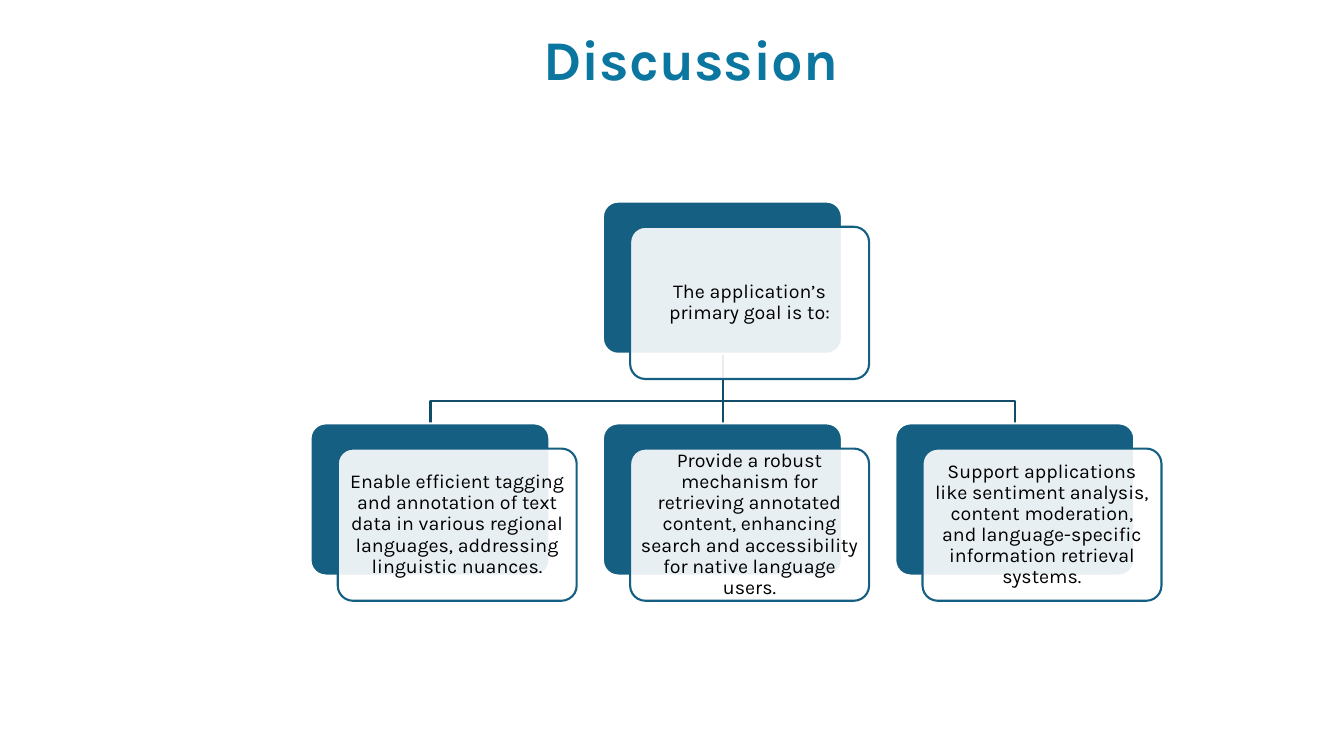
from lxml.etree import SubElement
from pptx import Presentation
from pptx.dml.color import RGBColor
from pptx.enum.shapes import MSO_CONNECTOR as CONNECTOR, MSO_SHAPE as SHAPE
from pptx.enum.text import MSO_ANCHOR as ANCHOR, MSO_AUTO_SIZE as AUTO_SIZE, PP_ALIGN as ALIGN
from pptx.oxml.ns import qn
from pptx.util import Inches, Pt

FONT = "Karla"
TEAL, DARK_TEAL, TITLE_BLUE = "156082", "114D68", "0B76A0"
WHITE, BLACK = "FFFFFF", "000000"
CARD_WIDTH, CARD_HEIGHT = 2.37, 1.51
FRONT_OFFSET_X, FRONT_OFFSET_Y = 0.27, 0.25
GOAL_LEFT, GOAL_TOP = 5.98, 2.0
AIM_TOP, AIM_STEP = 4.2, 2.9
CENTER_X, BRANCH_Y = 7.17, 3.98

GOAL = "The application’s primary goal is to:"
AIMS = [
    "Enable efficient tagging and annotation of text data in various regional "
    "languages, addressing linguistic nuances.",
    "Provide a robust mechanism for retrieving annotated content, enhancing "
    "search and accessibility for native language users.",
    "Support applications like sentiment analysis, content moderation, and "
    "language-specific information retrieval systems.",
]


def rgb(value):
    """Turn a hex string into a colour."""
    return RGBColor.from_string(value)


def style_line(line, color):
    """Give a line its colour and the common width."""
    line.color.rgb = rgb(color)
    line.width = Pt(1.5)


def style_paragraph(paragraph, size, color, bold=False):
    """Centre a paragraph and set its font."""
    paragraph.alignment = ALIGN.CENTER
    font = paragraph.font
    font.name, font.size, font.bold = FONT, Pt(size), bold
    font.color.rgb = rgb(color)


def add_title(slide, text):
    """Place the slide heading in the title placeholder."""
    title = slide.shapes.title
    title.left, title.top = Inches(2.55), Inches(0.19)
    title.width, title.height = Inches(8.6), Inches(0.77)
    frame = title.text_frame
    frame.text = text
    frame.auto_size = AUTO_SIZE.NONE
    frame.vertical_anchor = ANCHOR.MIDDLE
    style_paragraph(frame.paragraphs[0], 40, TITLE_BLUE, bold=True)


def add_panel(slide, left, top, fill, outline):
    """Add one rounded panel of a card."""
    panel = slide.shapes.add_shape(
        SHAPE.ROUNDED_RECTANGLE, Inches(left), Inches(top),
        Inches(CARD_WIDTH), Inches(CARD_HEIGHT))
    panel.adjustments[0] = 0.1
    panel.shadow.inherit = False
    panel.fill.solid()
    panel.fill.fore_color.rgb = rgb(fill)
    style_line(panel.line, outline)
    return panel


def add_card(slide, left, top, text):
    """Add a solid panel with a translucent text panel in front."""
    add_panel(slide, left, top, TEAL, WHITE)
    front = add_panel(slide, left + FRONT_OFFSET_X, top + FRONT_OFFSET_Y, WHITE, TEAL)
    fill_color = front.element.spPr.find(qn("a:solidFill")).find(qn("a:srgbClr"))
    SubElement(fill_color, qn("a:alpha"), val="90000")
    frame = front.text_frame
    frame.text = text
    frame.word_wrap = True
    frame.vertical_anchor = ANCHOR.MIDDLE
    frame.margin_left = frame.margin_right = Inches(0.05)
    frame.margin_top = frame.margin_bottom = Inches(0.05)
    paragraph = frame.paragraphs[0]
    paragraph.line_spacing = 0.9
    style_paragraph(paragraph, 14, BLACK)


def add_trunk(slide, top, bottom):
    """Add the straight line down to the middle aim."""
    trunk = slide.shapes.add_connector(
        CONNECTOR.STRAIGHT, Inches(CENTER_X), Inches(top), Inches(CENTER_X), Inches(bottom))
    style_line(trunk.line, DARK_TEAL)
    SubElement(trunk.element.spPr, qn("a:effectLst"))


def add_branch(slide, end_x, top, bottom):
    """Add a bent line from the goal to an outer aim."""
    outline = slide.shapes.build_freeform(Inches(CENTER_X), Inches(top))
    bends = [(CENTER_X, BRANCH_Y), (end_x, BRANCH_Y), (end_x, bottom)]
    outline.add_line_segments([(Inches(x), Inches(y)) for x, y in bends], close=False)
    branch = outline.convert_to_shape()
    branch.shadow.inherit = False
    branch.fill.background()
    style_line(branch.line, DARK_TEAL)


def main():
    """Build the discussion slide and save it."""
    deck = Presentation()
    deck.slide_width, deck.slide_height = Inches(13.33), Inches(7.5)
    slide = deck.slides.add_slide(deck.slide_layouts[5])
    add_title(slide, "Discussion")

    goal_bottom = GOAL_TOP + CARD_HEIGHT
    for side in (1, -1):
        add_branch(slide, CENTER_X + side * AIM_STEP, goal_bottom, AIM_TOP)
    add_trunk(slide, goal_bottom, AIM_TOP)

    add_card(slide, GOAL_LEFT, GOAL_TOP, GOAL)
    for column, aim in enumerate(AIMS, start=-1):
        add_card(slide, GOAL_LEFT + column * AIM_STEP, AIM_TOP, aim)
    deck.save("out.pptx")


if __name__ == "__main__":
    main()
